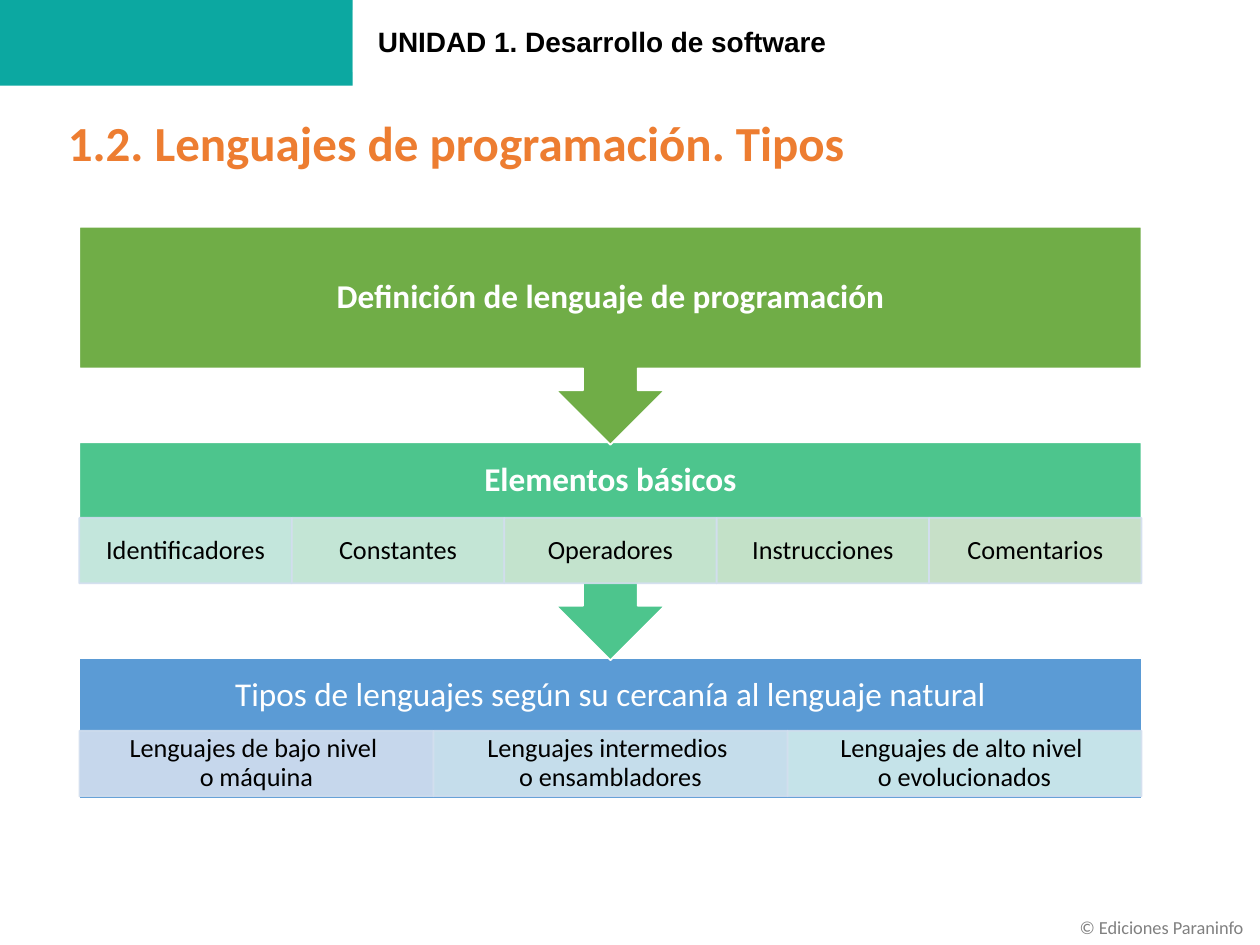
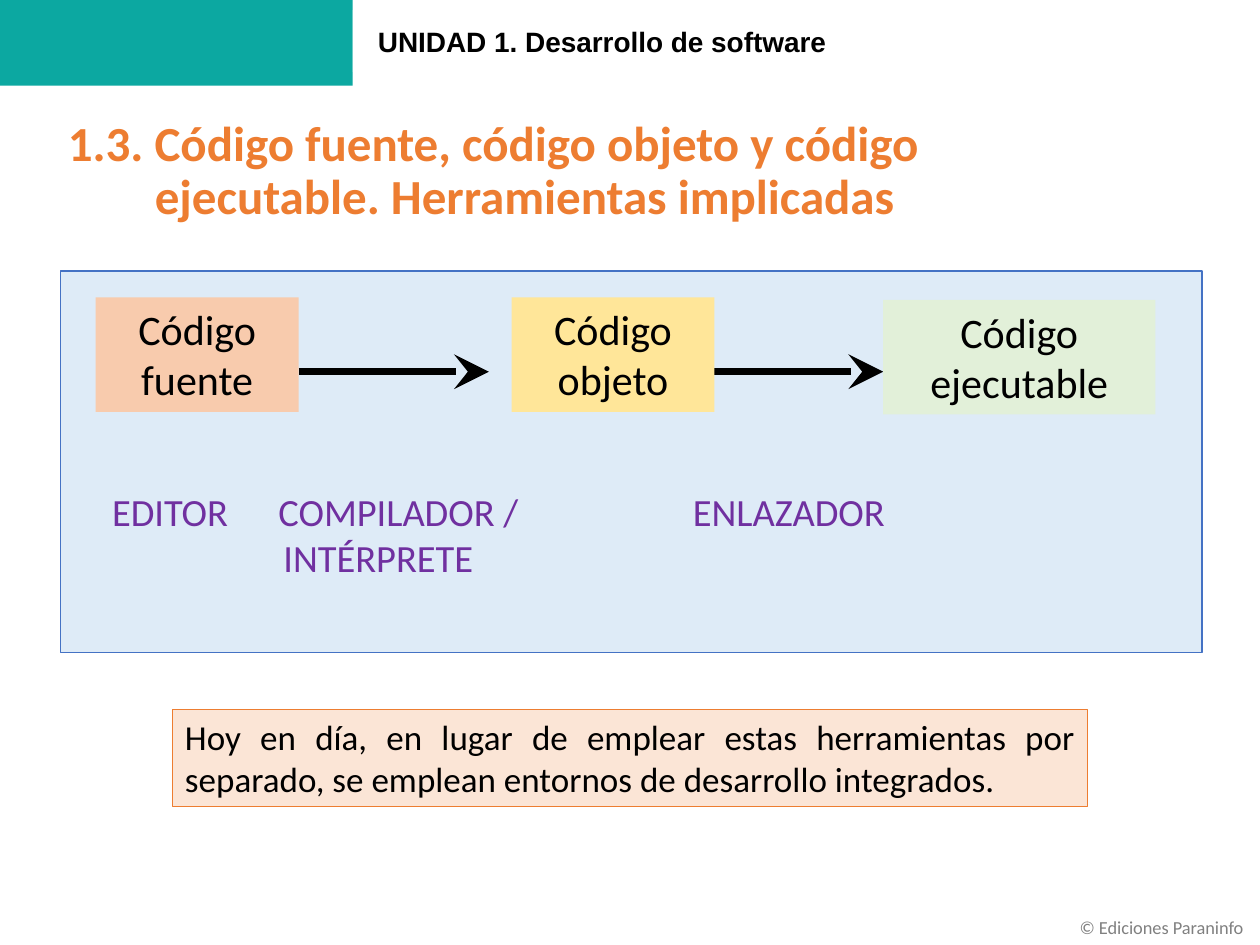
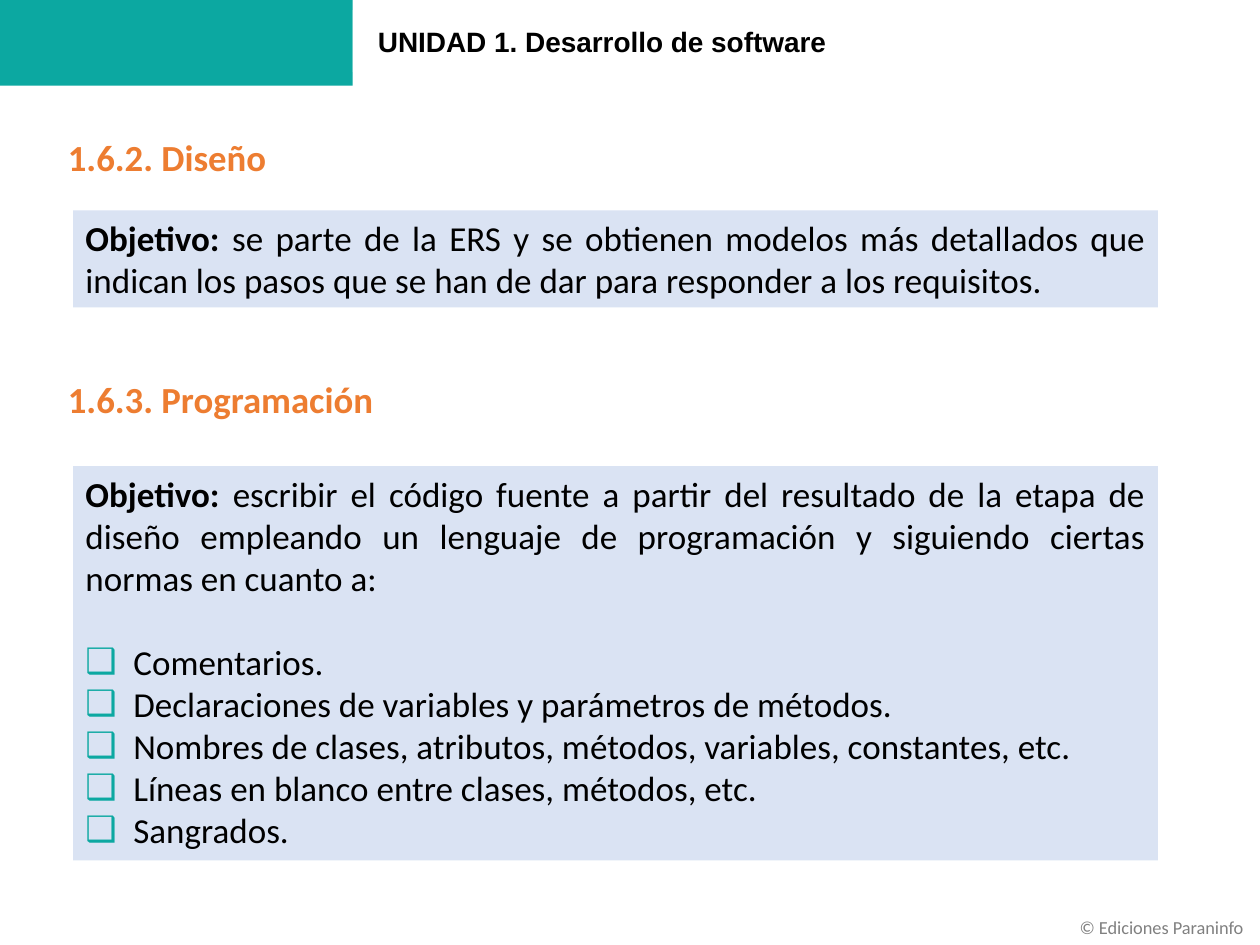
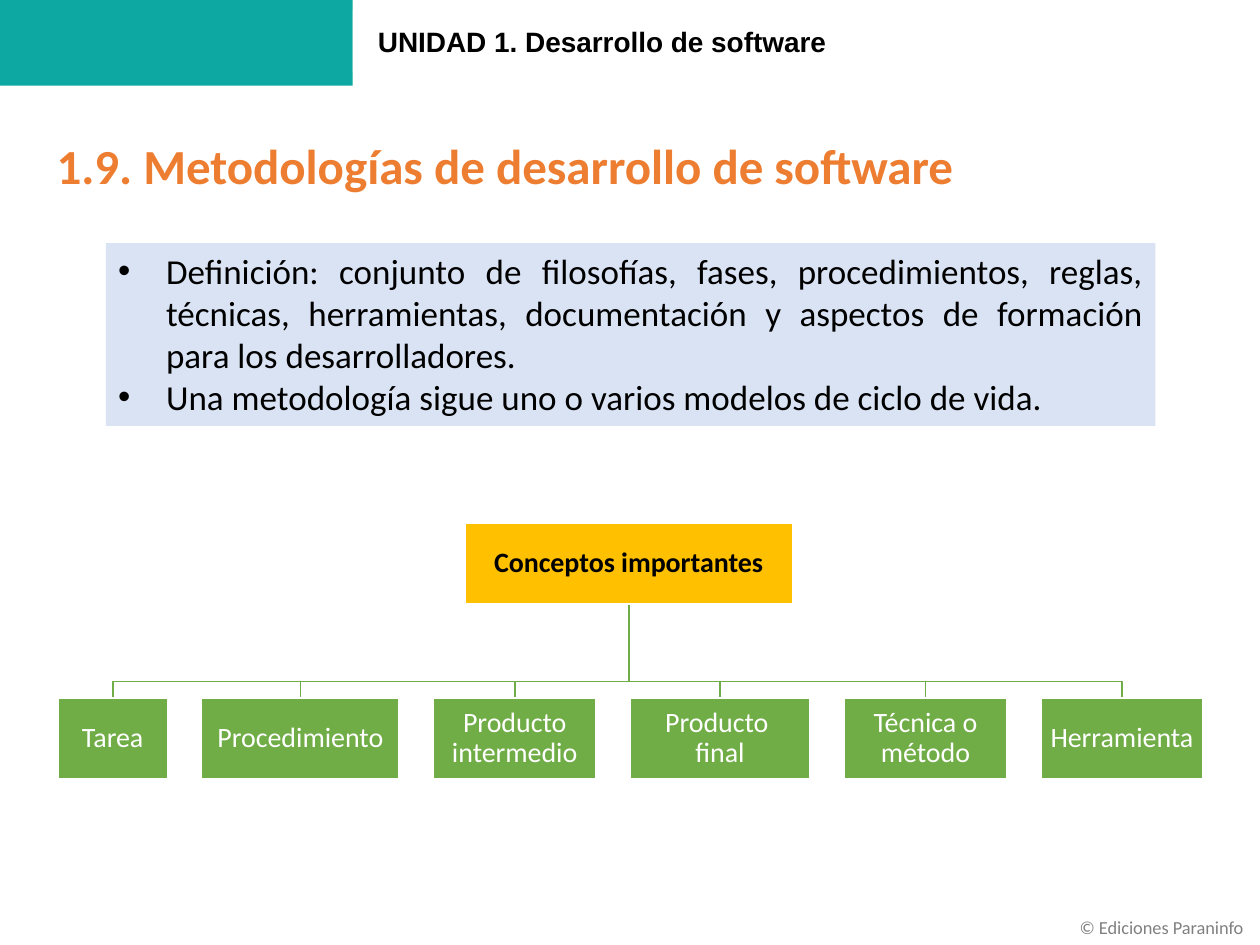
"""Build four slides of a unit on software development."""
from dataclasses import dataclass, field
from typing import Any, Optional

from lxml import etree
from pptx import Presentation
from pptx import util as u
from pptx.dml.color import RGBColor
from pptx.enum import shapes, text
from pptx.oxml.ns import qn

TEAL = RGBColor(0x0C, 0xA8, 0xA1)
ORANGE = RGBColor(0xED, 0x7D, 0x31)
GREEN = RGBColor(0x70, 0xAD, 0x47)
MINT = RGBColor(0x4D, 0xC5, 0x8D)
SKY = RGBColor(0x5B, 0x9B, 0xD5)
BLUE = RGBColor(0x44, 0x72, 0xC4)
GOLD = RGBColor(0xFF, 0xC0, 0x00)
PURPLE = RGBColor(0x70, 0x30, 0xA0)
GREY = RGBColor(0x80, 0x80, 0x80)
BLACK = RGBColor(0x00, 0x00, 0x00)
WHITE = RGBColor(0xFF, 0xFF, 0xFF)
PALE_BLUE = RGBColor(0xDE, 0xEB, 0xF7)
PALE_INDIGO = RGBColor(0xDA, 0xE3, 0xF3)
PALE_ORANGE = RGBColor(0xFB, 0xE5, 0xD6)
PEACH = RGBColor(0xF8, 0xCB, 0xAD)
PALE_GREEN = RGBColor(0xE2, 0xF0, 0xD9)
PALE_YELLOW = RGBColor(0xFF, 0xE6, 0x99)
CELL_EDGE = RGBColor(0xD2, 0xDE, 0xEF)

RECT = shapes.MSO_SHAPE.RECTANGLE
CALLOUT = shapes.MSO_SHAPE.DOWN_ARROW_CALLOUT
LEFT, CENTER, JUSTIFY = text.PP_ALIGN.LEFT, text.PP_ALIGN.CENTER, text.PP_ALIGN.JUSTIFY
TOP, MIDDLE = text.MSO_ANCHOR.TOP, text.MSO_ANCHOR.MIDDLE


@dataclass(frozen=True)
class Area:
    """Place and size in inches."""
    left: float
    top: float
    width: float
    height: float

    def lengths(self) -> tuple:
        """Return the four values as lengths."""
        return tuple(u.Inches(v) for v in (self.left, self.top, self.width, self.height))


@dataclass(frozen=True)
class Para:
    """One paragraph, with an optional bold lead, bullet and tab stops."""
    text: str
    lead: str = ""
    bullet: str = ""
    bullet_color: Optional[RGBColor] = None
    indent: float = 0
    hanging: float = 0
    tabs: tuple = ()
    before: float = 0


@dataclass(frozen=True)
class Style:
    """Look of the text in one box."""
    size: float = 20
    color: RGBColor = BLACK
    bold: bool = False
    font: str = "Calibri"
    align: Any = LEFT
    anchor: Any = TOP
    spacing: Optional[float] = None
    insets: tuple = (0.1, 0.05, 0.1, 0.05)
    wrap: bool = True


@dataclass(frozen=True)
class Stage:
    """A coloured bar of the process with its row of cells."""
    title: str
    top: float
    height: float
    label_height: float
    color: RGBColor
    preset: Any = CALLOUT
    bold: bool = True
    cells_top: float = 0
    cells: dict = field(default_factory=dict)


@dataclass(frozen=True)
class Concept:
    """A child node of the concept tree."""
    name: str
    width: float


TITLE = Style(28, ORANGE, bold=True, spacing=0.9)
SUBTITLE = Style(21, ORANGE, bold=True)
BODY = Style(20, align=JUSTIFY)
CODE = Style(24, align=CENTER)
TOOL = Style(22, PURPLE, insets=(0.31, 0.05, 0.1, 0.05))
CELL = Style(15, align=CENTER, anchor=MIDDLE, spacing=0.9, insets=(0.12, 0.02, 0.12, 0.02))
NODE = Style(16, WHITE, align=CENTER, anchor=MIDDLE, spacing=0.9, insets=(0.01,) * 4)
ROOT = Style(16, bold=True, align=CENTER, anchor=MIDDLE, spacing=0.9, insets=(0.01,) * 4)
UNIT = Style(16, bold=True, font="Arial", anchor=MIDDLE, insets=(0.2, 0.05, 0.1, 0.05))
CREDIT = Style(10.5, GREY, wrap=False)


def set_all(target: Any, values: dict) -> None:
    """Set every named attribute on the target."""
    for name, value in values.items():
        setattr(target, name, value)


def add_run(paragraph: Any, words: str, style: Style, bold: bool) -> None:
    """Add formatted words, turning newlines into line breaks."""
    for row, line in enumerate(words.split("\n")):
        if row:
            paragraph.add_line_break()
        run = paragraph.add_run()
        run.text = line
        set_all(run.font, {"size": u.Pt(style.size), "bold": bold, "name": style.font})
        run.font.color.rgb = style.color


def shape_paragraph(paragraph: Any, para: Para) -> None:
    """Add indents, bullet and tab stops to a paragraph."""
    props = paragraph._p.get_or_add_pPr()
    if para.indent:
        props.set("marL", str(u.Inches(para.indent)))
        props.set("indent", str(-u.Inches(para.hanging)))
    if para.bullet_color is not None:
        holder = etree.SubElement(props, qn("a:buClr"))
        etree.SubElement(holder, qn("a:srgbClr"), val=str(para.bullet_color))
    if para.bullet:
        etree.SubElement(props, qn("a:buFont"), typeface="Arial")
        etree.SubElement(props, qn("a:buChar"), char=para.bullet)
    if para.tabs:
        stops = etree.SubElement(props, qn("a:tabLst"))
        for stop in para.tabs:
            etree.SubElement(stops, qn("a:tab"), pos=str(u.Inches(stop)), algn="l")


def write(shape: Any, paras: list[Para], style: Style) -> None:
    """Fill a shape with paragraphs in one style."""
    frame = shape.text_frame
    margins = (f"margin_{side}" for side in ("left", "top", "right", "bottom"))
    set_all(frame, dict(zip(margins, map(u.Inches, style.insets))))
    set_all(frame, {"word_wrap": style.wrap, "vertical_anchor": style.anchor})
    for index, para in enumerate(paras):
        paragraph = frame.add_paragraph() if index else frame.paragraphs[0]
        shape_paragraph(paragraph, para)
        set_all(paragraph, {"alignment": style.align, "line_spacing": style.spacing})
        if para.before:
            paragraph.space_before = u.Pt(para.before)
        if para.lead:
            add_run(paragraph, para.lead, style, True)
        add_run(paragraph, para.text, style, style.bold)


def add_label(slide: Any, area: Area, paras: list[Para], style: Style) -> None:
    """Add a plain text box."""
    write(slide.shapes.add_textbox(*area.lengths()), paras, style)


def add_block(slide: Any, area: Area, fill: RGBColor, edge: Optional[RGBColor] = None,
              edge_width: float = 1, preset: Any = RECT, paras: Optional[list[Para]] = None,
              style: Style = BODY) -> Any:
    """Add a filled shape, with text if given."""
    block = slide.shapes.add_shape(preset, *area.lengths())
    block.shadow.inherit = False
    block.fill.solid()
    block.fill.fore_color.rgb = fill
    if edge is None:
        block.line.fill.background()
    else:
        block.line.color.rgb = edge
        block.line.width = u.Pt(edge_width)
    if paras:
        write(block, paras, style)
    return block


def add_arrow(slide: Any, start: float, end: float, level: float) -> None:
    """Add a thick horizontal arrow."""
    arrow = slide.shapes.add_connector(
        shapes.MSO_CONNECTOR.STRAIGHT, *map(u.Inches, (start, level, end, level)))
    arrow.line.color.rgb = BLACK
    arrow.line.width = u.Pt(4)
    props = arrow.element.spPr
    etree.SubElement(props.find(qn("a:ln")), qn("a:tailEnd"), type="stealth", w="lg", len="lg")
    etree.SubElement(props, qn("a:effectLst"))


def add_branch(slide: Any, points: list[tuple[float, float]]) -> None:
    """Add an open, bent line of the tree."""
    start, *rest = [(u.Inches(x), u.Inches(y)) for x, y in points]
    builder = slide.shapes.build_freeform(*start)
    builder.add_line_segments(rest, close=False)
    branch = builder.convert_to_shape()
    branch.shadow.inherit = False
    branch.fill.background()
    branch.line.color.rgb = GREEN
    branch.line.width = u.Pt(1)


def new_slide(deck: Any) -> Any:
    """Add a blank slide with the unit band and the credit."""
    slide = deck.slides.add_slide(deck.slide_layouts[6])
    add_block(slide, Area(0, 0, 2.8, 0.68), TEAL)
    add_block(slide, Area(2.8, 0.08, 7.2, 0.49), WHITE,
              paras=[Para("UNIDAD 1. Desarrollo de software")], style=UNIT)
    add_label(slide, Area(8.47, 7.22, 1.53, 0.28), [Para("© Ediciones Paraninfo")], CREDIT)
    return slide


def add_stage(slide: Any, stage: Stage) -> None:
    """Draw a process bar, its title and its cells."""
    left, width, cell_height = 0.63, 8.43, 0.52
    add_block(slide, Area(left, stage.top, width, stage.height), stage.color, WHITE,
              preset=stage.preset)
    add_label(slide, Area(left, stage.top, width, stage.label_height), [Para(stage.title)],
              Style(19, WHITE, stage.bold, align=CENTER, anchor=MIDDLE, spacing=0.9,
                    insets=(0.15,) * 4))
    for column, (name, tint) in enumerate(stage.cells.items()):
        cell_width = width / len(stage.cells)
        area = Area(left + column * cell_width, stage.cells_top, cell_width, cell_height)
        cell = add_block(slide, area, tint, CELL_EDGE, paras=[Para(name)], style=CELL)
        for color in cell.element.spPr.iter(qn("a:srgbClr")):
            etree.SubElement(color, qn("a:alpha"), val="90000")


def build_languages(deck: Any) -> None:
    """Draw the programming languages slide."""
    slide = new_slide(deck)
    add_label(slide, Area(0.44, 0.9, 8.62, 0.9),
              [Para("1.2. Lenguajes de programación. Tipos")], TITLE)
    stages = [
        Stage("Tipos de lenguajes según su cercanía al lenguaje natural", 5.22, 1.12, 0.61, SKY,
              RECT, False, 5.8, {
                  "Lenguajes de bajo nivel \no máquina": RGBColor(0xD2, 0xDE, 0xEF),
                  "Lenguajes intermedios \no ensambladores": RGBColor(0xD1, 0xE5, 0xEE),
                  "Lenguajes de alto nivel \no evolucionados": RGBColor(0xD1, 0xEB, 0xEC)}),
        Stage("Elementos básicos", 3.51, 1.73, 0.61, MINT, cells_top=4.11, cells={
            "Identificadores": RGBColor(0xD0, 0xEA, 0xE5),
            "Constantes": RGBColor(0xD0, 0xE9, 0xDD),
            "Operadores": RGBColor(0xD0, 0xE7, 0xD5),
            "Instrucciones": RGBColor(0xD0, 0xE5, 0xCF),
            "Comentarios": RGBColor(0xD5, 0xE3, 0xCF)}),
        Stage("Definición de lenguaje de programación", 1.8, 1.73, 1.12, GREEN),
    ]
    for stage in stages:
        add_stage(slide, stage)


def build_code(deck: Any) -> None:
    """Draw the source, object and executable code slide."""
    slide = new_slide(deck)
    add_block(slide, Area(0.48, 2.15, 9.06, 3.03), PALE_BLUE, BLUE)
    add_label(slide, Area(0.44, 0.9, 8.62, 0.9),
              [Para("1.3. Código fuente, código objeto y código \n"
                    "ejecutable. Herramientas implicadas", indent=0.69, hanging=0.69)], TITLE)
    for start, end in ((2.37, 3.88), (5.5, 7.01)):
        add_arrow(slide, start, end, 2.95)
    codes = [
        ("fuente", Area(0.76, 2.36, 1.61, 0.91), PEACH),
        ("objeto", Area(4.06, 2.36, 1.61, 0.91), PALE_YELLOW),
        ("ejecutable", Area(7.01, 2.38, 2.16, 0.91), PALE_GREEN),
    ]
    for kind, area, fill in codes:
        add_block(slide, area, fill, paras=[Para("Código"), Para(kind)], style=CODE)
    add_label(slide, Area(0.58, 3.82, 8.45, 1.21),
              [Para("EDITOR\tCOMPILADOR /\tENLAZADOR", tabs=(1.32, 4.61)),
               Para("INTÉRPRETE", indent=1.36)], TOOL)
    add_block(slide, Area(1.37, 5.63, 7.26, 0.77), PALE_ORANGE, ORANGE, 0.75, paras=[
        Para("Hoy en día, en lugar de emplear estas herramientas por separado, "
             "se emplean entornos de desarrollo integrados.")])


def build_phases(deck: Any) -> None:
    """Draw the design and programming slide."""
    slide = new_slide(deck)
    norms = ["Comentarios.",
             "Declaraciones de variables y parámetros de métodos.",
             "Nombres de clases, atributos, métodos, variables, constantes, etc.",
             "Líneas en blanco entre clases, métodos, etc.",
             "Sangrados."]
    norm_paras = [Para(norm, bullet="❑", bullet_color=TEAL, indent=0.38, hanging=0.38,
                       before=0 if index else 24) for index, norm in enumerate(norms)]
    design = Para("se parte de la ERS y se obtienen modelos más detallados que indican "
                  "los pasos que se han de dar para responder a los requisitos.", "Objetivo: ")
    coding = Para("escribir el código fuente a partir del resultado de la etapa de diseño "
                  "empleando un lenguaje de programación y siguiendo ciertas normas "
                  "en cuanto a:", "Objetivo: ")
    phases = [
        ("1.6.2. Diseño", 1.02, 1.67, 0.77, [design]),
        ("1.6.3. Programación", 2.94, 3.7, 3.13, [coding, *norm_paras]),
    ]
    for heading, heading_top, goal_top, goal_height, goal in phases:
        add_label(slide, Area(0.44, heading_top, 8.61, 0.81), [Para(heading)], SUBTITLE)
        add_block(slide, Area(0.58, goal_top, 8.61, goal_height), PALE_INDIGO, paras=goal)


def build_methodologies(deck: Any) -> None:
    """Draw the methodologies slide with its concept tree."""
    slide = new_slide(deck)
    add_label(slide, Area(0.35, 1.03, 8.49, 0.57),
              [Para("1.9. Metodologías de desarrollo de software")],
              Style(28, ORANGE, bold=True))
    points = ["Definición: conjunto de filosofías, fases, procedimientos, reglas, técnicas, "
              "herramientas, documentación y aspectos de formación para los desarrolladores.",
              "Una metodología sigue uno o varios modelos de ciclo de vida."]
    add_block(slide, Area(0.84, 1.93, 8.33, 1.45), PALE_INDIGO, paras=[
        Para(point, bullet="•", indent=0.38, hanging=0.38) for point in points])

    concepts = [Concept("Tarea", 0.87), Concept("Procedimiento", 1.57),
                Concept("Producto intermedio", 1.29), Concept("Producto \nfinal", 1.43),
                Concept("Técnica o método", 1.29), Concept("Herramienta", 1.29)]
    trunk, root_bottom, fork, child_top, gap = 4.99, 4.8, 5.41, 5.54, 0.27
    left = 0.46
    for concept in concepts:
        middle = left + concept.width / 2
        add_branch(slide, [(trunk, root_bottom), (trunk, fork), (middle, fork),
                           (middle, child_top)])
        add_block(slide, Area(left, child_top, concept.width, 0.64), GREEN, WHITE,
                  paras=[Para(concept.name)], style=NODE)
        left += concept.width + gap
    add_block(slide, Area(3.69, 4.15, 2.6, 0.64), GOLD, WHITE,
              paras=[Para("Conceptos importantes")], style=ROOT)


def main() -> None:
    """Build and save the deck."""
    deck = Presentation()
    set_all(deck, {"slide_width": u.Inches(10), "slide_height": u.Inches(7.5)})
    for build in (build_languages, build_code, build_phases, build_methodologies):
        build(deck)
    deck.save("out.pptx")


if __name__ == "__main__":
    main()
